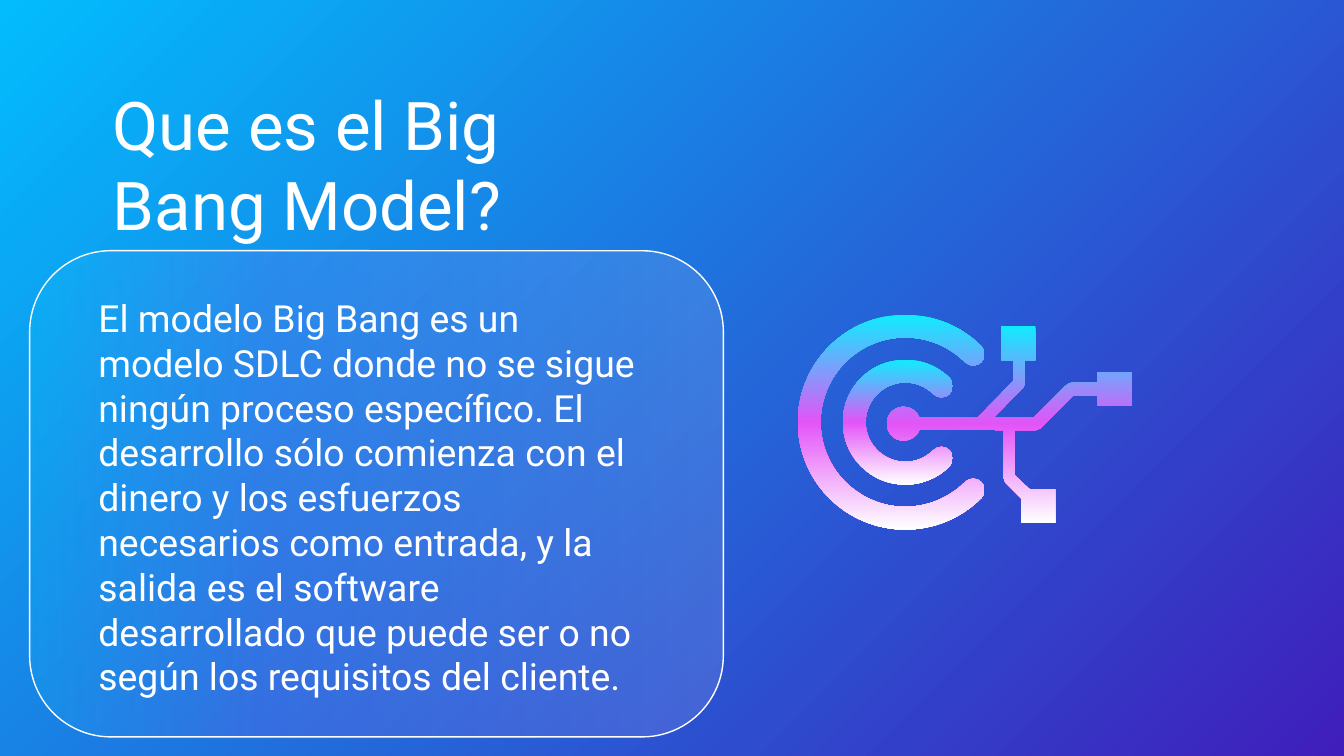
from math import cos, radians, sin, tan

from lxml import etree
from pptx import Presentation
from pptx import util as u
from pptx.dml.color import RGBColor
from pptx.enum import shapes, text
from pptx.oxml.ns import nsdecls, qn

# Content; all lengths in cm
SLIDE = (25.4, 14.29)
TITLE = "Que es el Big Bang Model?"
BODY = (
    "El modelo Big Bang es un modelo SDLC donde no se sigue ningún proceso "
    "específico. El desarrollo sólo comienza con el dinero y los esfuerzos "
    "necesarios como entrada, y la salida es el software desarrollado que "
    "puede ser o no según los requisitos del cliente."
)
TITLE_BOX = (1.88, 1.32, 7.95, 3.43)
BODY_BOX = (1.61, 5.33, 10.9, 8.2)
CARD_BOX = (2.52, 2.78, 9.19, 13.11)  # frame before its quarter turn

WHITE, PINK, CYAN = "FFFFFF", "E354F7", "10ECFF"
BACKGROUND = [(0, "401EBB"), (100, "02BCFD")]
CARD_FILL = [(0, WHITE), (66, PINK), (100, CYAN)]
ICON_FILL = [(0, CYAN), (50, PINK), (100, WHITE)]

RING_CENTER = (17.11, 7.98)
RINGS = [(2.03, 1.6), (1.18, 0.75)]  # outer and inner radius
NODE = (17.08, 8.01, 0.32)
TRACES = [
    (18.97, 8.13), (18.97, 9.04), (19, 9.12), (19.3, 9.42), (19.3, 9.88),
    (19.94, 9.88), (19.94, 9.25), (19.46, 9.25), (19.18, 8.99), (19.18, 8.13),
    (19.58, 8.13), (19.66, 8.1), (20.29, 7.47), (20.75, 7.47), (20.75, 7.67),
    (21.39, 7.67), (21.39, 7.04), (20.75, 7.04), (20.75, 7.24), (20.24, 7.24),
    (20.17, 7.27), (19.53, 7.9), (18.77, 7.9), (19.33, 7.34), (19.37, 7.26),
    (19.37, 6.81), (19.57, 6.81), (19.57, 6.16), (18.92, 6.16), (18.92, 6.81),
    (19.15, 6.81), (19.15, 7.21), (18.47, 7.9),
]


def color(value):
    return RGBColor.from_string(value)


def gradient(fill, parent, stops, angle, alpha=100):
    """Fill with (percent, colour) stops; parent is the element holding the fill."""
    fill.solid()
    gs = "".join(
        f'<a:gs pos="{pos * 1000}"><a:srgbClr val="{rgb}">'
        f'<a:alpha val="{alpha * 1000}"/></a:srgbClr></a:gs>'
        for pos, rgb in stops
    )
    grad = etree.fromstring(
        f'<a:gradFill {nsdecls("a")} rotWithShape="1"><a:gsLst>{gs}</a:gsLst>'
        f'<a:lin ang="{angle * 60000}" scaled="0"/></a:gradFill>'
    )
    parent.replace(parent.find(qn("a:solidFill")), grad)


def add_text(s, box, content, size, after=0, fit=text.MSO_AUTO_SIZE.NONE):
    tf = s.shapes.add_textbox(*map(u.Cm, box)).text_frame
    tf.word_wrap = True
    tf.auto_size = fit
    tf.margin_left = tf.margin_right = u.Cm(0.25)
    tf.margin_top = tf.margin_bottom = u.Cm(0.25)
    p = tf.paragraphs[0]
    p.space_after = u.Pt(after)
    r = p.add_run()
    r.text = content
    r.font.name = "Roboto"
    r.font.size = u.Pt(size)
    r.font.color.rgb = color(WHITE)


def arc(cx, cy, radius, *angles):
    """Start point, then three Bezier points for each step between the angles."""
    def point(angle, pull=0):
        a = radians(angle)
        return (cx + radius * (cos(a) - pull * sin(a)),
                cy + radius * (sin(a) + pull * cos(a)))

    points = [point(angles[0])]
    for a, b in zip(angles, angles[1:]):
        pull = 4 / 3 * tan(radians(b - a) / 4)
        points += [point(a, pull), point(b, -pull), point(b)]
    return points


def open_ring(cx, cy, outer, inner):
    """Outline of a C with round ends, open by 45 degrees each side of right."""
    cap = (outer - inner) / 2
    reach = (outer + inner) / 2 * cos(radians(45))
    sweep = (45, 90, 180, 270, 315)
    return (
        arc(cx, cy, outer, *sweep)
        + arc(cx + reach, cy - reach, cap, 315, 360, 450, 495)[1:]
        + arc(cx, cy, inner, *reversed(sweep))[1:]
        + arc(cx + reach, cy + reach, cap, 225, 270, 360, 405)[1:]
    )


def add_icon_part(s, curves, corners=()):
    points = [(u.Cm(x), u.Cm(y)) for x, y in [*curves, *corners]]
    fb = s.shapes.build_freeform(*points[0])
    fb.add_line_segments(points[1:], close=True)
    sp = fb.convert_to_shape()
    sp.shadow.inherit = False
    sp.line.fill.background()
    gradient(sp.fill, sp.element.spPr, ICON_FILL, 90)
    # Every three leading line segments become one Bezier curve
    lines = list(sp.element.iter(qn("a:lnTo")))[:len(curves) - 1]
    for i in range(0, len(lines), 3):
        bezier = etree.Element(qn("a:cubicBezTo"))
        lines[i].addprevious(bezier)
        for line in lines[i:i + 3]:
            bezier.append(line[0])
            line.getparent().remove(line)


def main():
    prs = Presentation()
    prs.slide_width, prs.slide_height = map(u.Cm, SLIDE)
    s = prs.slides.add_slide(prs.slide_layouts[6])
    fill = s.background.fill
    fill.solid()
    gradient(fill, s.element.find(".//" + qn("p:bgPr")), BACKGROUND, 225)

    card = s.shapes.add_shape(
        shapes.MSO_SHAPE.ROUNDED_RECTANGLE, *map(u.Cm, CARD_BOX))
    card.rotation = 90
    card.adjustments[0] = 0.167
    card.shadow.inherit = False
    card.line.color.rgb = color(WHITE)
    card.line.width = u.Pt(0.75)
    gradient(card.fill, card.element.spPr, CARD_FILL, 90, alpha=11)

    add_text(s, TITLE_BOX, TITLE, 36)
    add_text(s, BODY_BOX, BODY, 20, after=16,
             fit=text.MSO_AUTO_SIZE.SHAPE_TO_FIT_TEXT)

    for outer, inner in RINGS:
        add_icon_part(s, open_ring(*RING_CENTER, outer, inner))
    add_icon_part(s, arc(*NODE, 340, 270, 180, 90, 20), TRACES)

    prs.save("out.pptx")


if __name__ == "__main__":
    main()
